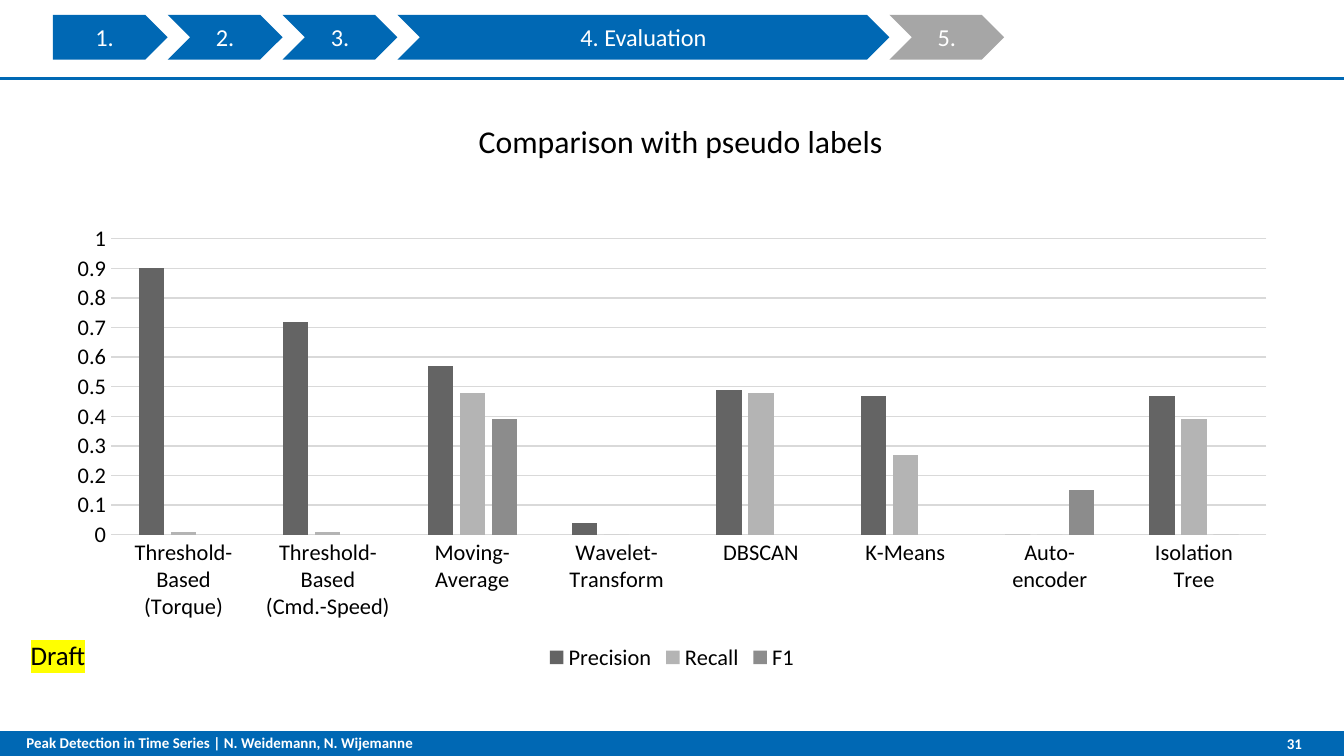
"""Build the slide that compares detectors with pseudo labels."""
from dataclasses import dataclass
from lxml.etree import SubElement
from pptx import Presentation
from pptx.chart.data import CategoryChartData
from pptx.dml.color import RGBColor
from pptx.enum.chart import XL_CHART_TYPE, XL_LEGEND_POSITION, XL_TICK_MARK
from pptx.enum.shapes import MSO_CONNECTOR, MSO_SHAPE
from pptx.enum.text import MSO_ANCHOR, MSO_AUTO_SIZE, PP_ALIGN
from pptx.oxml import parse_xml
from pptx.oxml.ns import nsdecls, qn
from pptx.util import Cm, Pt


@dataclass(frozen=True)
class Theme:
    """Colours, font and type sizes of the slide."""
    face: str = "Calibri"
    blue: str = "0068B4"
    gray: str = "A6A6A6"
    grid: str = "D9D9D9"
    ink: str = "000000"
    white: str = "FFFFFF"
    mark: str = "FFFF00"
    bars: tuple = ("646464", "B4B4B4", "8C8C8C")
    head: float = 17
    note: float = 14.4
    step: float = 13
    axis: float = 12
    foot: float = 8


def apply(item, **form):
    """Set each format value on the item."""
    for name, value in form.items():
        setattr(item, name, value)


def place(x, y, w, h):
    """Turn a box in centimetres into lengths."""
    return [Cm(value) for value in (x, y, w, h)]


class Deck:
    """Holds the theme and the current slide."""

    def __init__(self, theme, wide, high):
        """Open a deck with one slide."""
        self.theme = theme
        self.file = Presentation()
        apply(self.file, slide_width=Cm(wide), slide_height=Cm(high))
        self.slide = self.file.slides.add_slide(self.file.slide_layouts[1])
        title = self.slide.shapes.title.element
        title.getparent().remove(title)

    def font(self, font, size, color, bold=False):
        """Style a font."""
        apply(font, name=self.theme.face, size=Pt(size), bold=bold)
        font.color.rgb = RGBColor.from_string(color)

    def label(self, shape, text, size, color, pad, bold=False,
              anchor=MSO_ANCHOR.TOP, **form):
        """Put one styled paragraph in a shape and return it."""
        left, top, right, low = place(*pad)
        frame = shape.text_frame
        apply(frame, word_wrap=True, auto_size=MSO_AUTO_SIZE.NONE,
              vertical_anchor=anchor, margin_left=left, margin_top=top,
              margin_right=right, margin_bottom=low)
        para = frame.paragraphs[0]
        apply(para, space_before=Pt(0), **form)
        run = para.add_run()
        run.text = text
        self.font(run.font, size, color, bold)
        return para

    def body(self, text, box):
        """Fill the body placeholder with a centred line."""
        shape = self.slide.placeholders[1]
        left, top, width, height = place(*box)
        apply(shape, left=left, top=top, width=width, height=height)
        para = self.label(shape, text, self.theme.head, self.theme.ink,
                          (.25, .13, .25, .13), alignment=PP_ALIGN.CENTER,
                          line_spacing=1.14)
        props = para._p.get_or_add_pPr()
        props.set("marL", str(Cm(.33)))
        props.set("indent", "0")
        SubElement(props, qn("a:buNone"))

    def block(self, kind, box, color):
        """Add a plain filled shape."""
        shape = self.slide.shapes.add_shape(kind, *place(*box))
        shape.shadow.inherit = False
        shape.fill.solid()
        shape.fill.fore_color.rgb = RGBColor.from_string(color)
        shape.line.fill.background()
        return shape

    def step(self, kind, text, box, color):
        """Add a labelled arrow of the progress bar."""
        self.label(self.block(kind, box, color), text, self.theme.step,
                   self.theme.white, (0, 0, 0, 0), anchor=MSO_ANCHOR.MIDDLE,
                   alignment=PP_ALIGN.CENTER)

    def rule(self, y):
        """Draw a line across the slide."""
        line = self.slide.shapes.add_connector(
            MSO_CONNECTOR.STRAIGHT, 0, Cm(y), self.file.slide_width, Cm(y))
        line.line.width = Pt(1.5)
        line.line.color.rgb = RGBColor.from_string(self.theme.blue)
        SubElement(line._element.spPr, qn("a:effectLst"))

    def text(self, text, box, size, color, pad, **form):
        """Add a text box and return its paragraph."""
        shape = self.slide.shapes.add_textbox(*place(*box))
        return self.label(shape, text, size, color, pad, **form)

    def note(self, text, box):
        """Add a highlighted note."""
        para = self.text(text, box, self.theme.note, self.theme.ink,
                         (.58, .13, 0, .13), line_spacing=.85)
        fill = para.runs[0].font._element.find(qn("a:solidFill"))
        fill.addnext(parse_xml(
            f'<a:highlight {nsdecls("a")}><a:srgbClr val="{self.theme.mark}"/>'
            '</a:highlight>'))

    def chart(self, names, rows, box):
        """Add a clustered column chart."""
        look, data = self.theme, CategoryChartData()
        data.categories = names
        for name, values in rows.items():
            data.add_series(name, values)
        chart = self.slide.shapes.add_chart(
            XL_CHART_TYPE.COLUMN_CLUSTERED, *place(*box), data).chart
        apply(chart, has_title=False, has_legend=True)
        self.font(chart.font, look.axis, look.ink)
        apply(chart.legend, position=XL_LEGEND_POSITION.BOTTOM,
              include_in_layout=False)
        self.font(chart.legend.font, look.axis, look.ink)
        plot = chart.plots[0]
        apply(plot, gap_width=219, overlap=-27, vary_by_categories=False)
        for series, color in zip(plot.series, look.bars):
            series.format.fill.solid()
            series.format.fill.fore_color.rgb = RGBColor.from_string(color)
        across, up = chart.category_axis, chart.value_axis
        for axis in (across, up):
            apply(axis, major_tick_mark=XL_TICK_MARK.NONE,
                  minor_tick_mark=XL_TICK_MARK.NONE)
            self.font(axis.tick_labels.font, look.axis, look.ink)
        apply(up, minimum_scale=0, maximum_scale=1, major_unit=.1,
              has_major_gridlines=True)
        apply(up.tick_labels, number_format="General",
              number_format_is_linked=False)
        up.format.line.fill.background()
        for line in (across.format.line, up.major_gridlines.format.line):
            line.width = Pt(.75)
            line.color.rgb = RGBColor.from_string(look.grid)


def main():
    """Build and save the slide."""
    look = Theme()
    deck = Deck(look, 25.4, 14.29)
    deck.block(MSO_SHAPE.RECTANGLE, (0, 13.82, 25.4, .47), look.blue)
    deck.rule(1.49)
    deck.body("Comparison with pseudo labels", (1, 2.08, 23.4, 10.11))

    left, slim, wide = 1, 2.17, 9.3
    kind = MSO_SHAPE.PENTAGON
    for label in ("1.", "2.", "3.", "4. Evaluation", "5."):
        width = wide if label.startswith("4") else slim
        color = look.gray if label == "5." else look.blue
        deck.step(kind, label, (left, .28, width, .85), color)
        left += width
        kind = MSO_SHAPE.CHEVRON

    deck.text("Peak Detection in Time Series | N. Weidemann, N. Wijemanne",
              (.25, 13.61, 11.02, .86), look.foot, look.white,
              (.25, .25, .25, .25), bold=True)
    deck.text("31", (22.22, 13.82, 2.39, .47), look.foot, look.white,
              (.25, .13, 0, .13), bold=True, anchor=MSO_ANCHOR.MIDDLE,
              alignment=PP_ALIGN.RIGHT)
    deck.note("Draft", (0, 12.04, 2.44, 1.19))

    names = ("Threshold-\nBased\n(Torque)", "Threshold-\nBased\n(Cmd.-Speed)",
             "Moving-\nAverage", "Wavelet-\nTransform", "DBSCAN", "K-Means",
             "Auto-\nencoder", "Isolation\nTree")
    rows = {
        "Precision": (.9, .72, .57, .04, .49, .47, 0, .47),
        "Recall": (.01, .01, .48, 0, .48, .27, 0, .39),
        "F1": (None, None, .39, None, None, None, .15, 0),
    }
    deck.chart(names, rows, (1, 4.09, 23.4, 8.69))
    deck.file.save("out.pptx")


if __name__ == "__main__":
    main()
